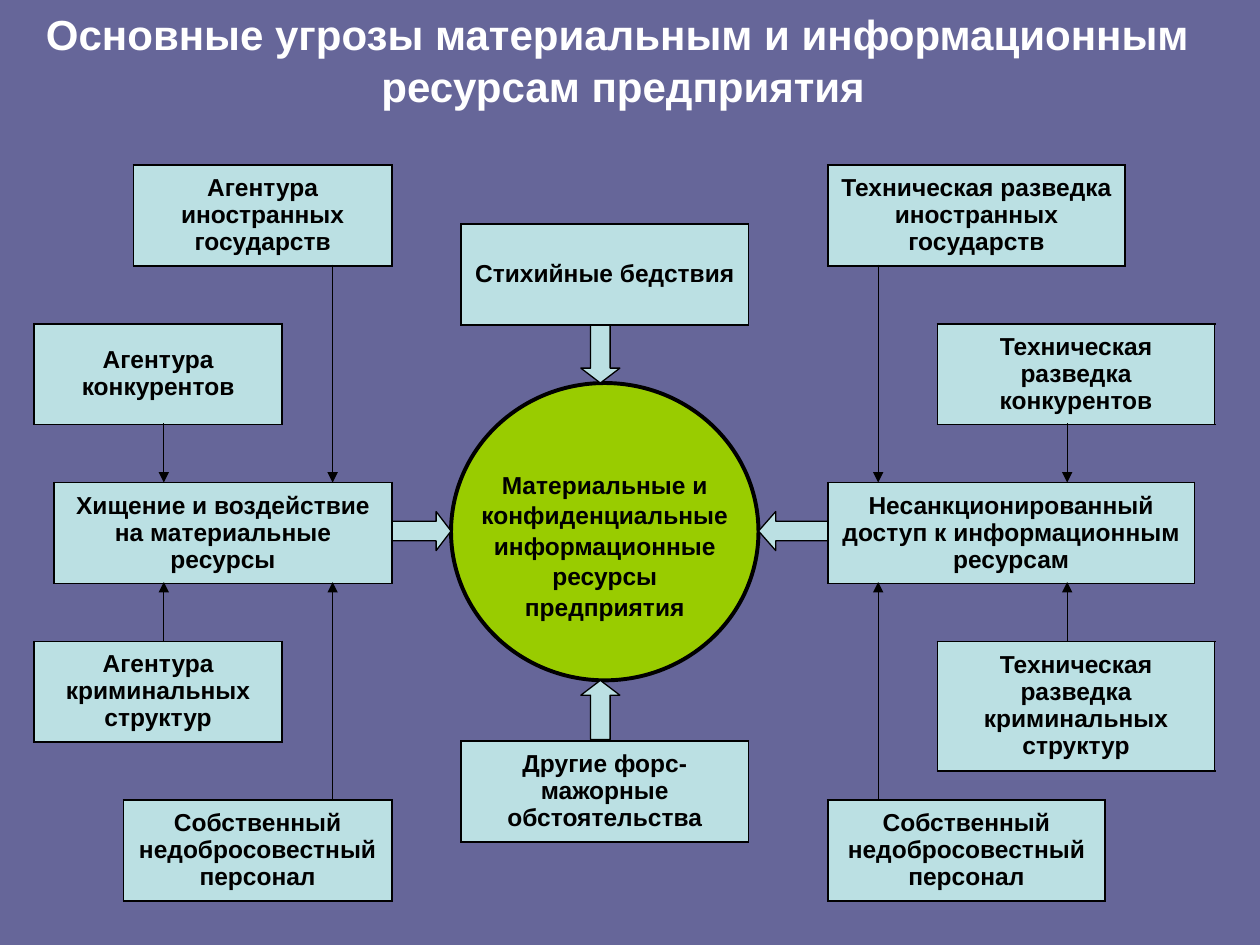
from dataclasses import dataclass

from lxml.etree import SubElement
from pptx import Presentation
from pptx.dml.color import RGBColor
from pptx.enum.shapes import MSO_CONNECTOR, MSO_SHAPE
from pptx.enum.text import MSO_ANCHOR, PP_ALIGN
from pptx.oxml import parse_xml
from pptx.oxml.ns import nsdecls, qn
from pptx.util import Inches, Pt


@dataclass(frozen=True)
class Theme:
    back: RGBColor = RGBColor(0x66, 0x66, 0x99)
    box: RGBColor = RGBColor(0xBB, 0xE0, 0xE3)
    core: RGBColor = RGBColor(0x99, 0xCC, 0x00)
    ink: RGBColor = RGBColor(0, 0, 0)
    white: RGBColor = RGBColor(255, 255, 255)
    font: str = "Arial"
    body: int = 14
    head: int = 24


theme = Theme()


def write(frame, text, size=theme.body, color=theme.ink, space=1.04):
    """Fill a frame with bold centred text, one paragraph per line."""
    frame.word_wrap = True
    frame.text = text
    for par in frame.paragraphs:
        par.alignment = PP_ALIGN.CENTER
        par.line_spacing = space
        font = par.runs[0].font
        font.name, font.size, font.bold = theme.font, Pt(size), True
        font.color.rgb = color


def add_box(text, left, top, width, height=0.8):
    """Add a one-cell table with a thin border."""
    table = slide.shapes.add_table(1, 1, Inches(left), Inches(top),
                                   Inches(width), Inches(height)).table
    table.first_row = table.horz_banding = False
    cell = table.cell(0, 0)
    props = cell._tc.get_or_add_tcPr()
    for side in ("lnL", "lnR", "lnT", "lnB"):
        props.append(parse_xml(
            f'<a:{side} {nsdecls("a")} w="{Pt(1.08)}"><a:solidFill>'
            f'<a:srgbClr val="{theme.ink}"/></a:solidFill></a:{side}>'))
    cell.fill.solid()
    cell.fill.fore_color.rgb = theme.box
    cell.vertical_anchor = MSO_ANCHOR.MIDDLE
    write(cell.text_frame, text, space=0.98)


deck = Presentation()
deck.slide_width, deck.slide_height = Inches(10), Inches(7.5)
slide = deck.slides.add_slide(deck.slide_layouts[6])
slide.background.fill.solid()
slide.background.fill.fore_color.rgb = theme.back

# Central circle and block arrows pointing at it
shapes = [
    (MSO_SHAPE.OVAL, 3.58, 3.04, 2.44, 2.36, None),
    (MSO_SHAPE.RIGHT_ARROW, 3.11, 4.06, 0.47, 0.31, 0.38),
    (MSO_SHAPE.LEFT_ARROW, 6.02, 4.06, 0.55, 0.31, 0.44),
    (MSO_SHAPE.UP_ARROW, 4.61, 5.4, 0.31, 0.47, 0.38),
    (MSO_SHAPE.DOWN_ARROW, 4.61, 2.57, 0.31, 0.47, 0.38),
]
for kind, left, top, width, height, tip in shapes:
    shape = slide.shapes.add_shape(kind, Inches(left), Inches(top),
                                   Inches(width), Inches(height))
    shape.shadow.inherit = False
    shape.fill.solid()
    shape.fill.fore_color.rgb = theme.box if tip else theme.core
    shape.line.color.rgb = theme.ink
    shape.line.width = Pt(0.75 if tip else 2.25)
    if tip:
        shape.adjustments[1] = tip

# Threat boxes: five evenly spaced rows at the sides, two in the middle
rows = [1.31 + 1.26 * i for i in range(5)]
boxes = [
    ("Агентура иностранных государств", 1.06, rows[0], 2.05),
    ("Агентура конкурентов", 0.27, rows[1], 1.97),
    ("Хищение и воздействие на материальные ресурсы", 0.43, rows[2], 2.68),
    ("Агентура криминальных структур", 0.27, rows[3], 1.97),
    ("Собственный недобросовестный персонал", 0.98, rows[4], 2.13),
    ("Стихийные бедствия", 3.66, 1.78, 2.28),
    ("Другие форс-мажорные обстоятельства", 3.66, 5.88, 2.28),
    ("Техническая разведка иностранных государств", 6.57, rows[0], 2.36),
    ("Техническая разведка конкурентов", 7.44, rows[1], 2.2),
    ("Несанкционированный доступ к информационным ресурсам",
     6.57, rows[2], 2.91),
    ("Техническая разведка криминальных структур",
     7.44, rows[3], 2.2, 1.03),
    ("Собственный недобросовестный персонал", 6.57, rows[4], 2.2),
]
for box in boxes:
    add_box(*box)

# Thin arrows from the outer boxes to the middle row
deep = 0.79
for x, near in ((1.3, 1), (2.64, 0), (6.97, 0), (8.47, 1)):
    ends = ((rows[near] + deep, rows[2]), (rows[4 - near], rows[2] + deep))
    for start, end in ends:
        line = slide.shapes.add_connector(
            MSO_CONNECTOR.STRAIGHT, Inches(x), Inches(start),
            Inches(x), Inches(end))
        line.line.color.rgb = theme.ink
        line.line.width = Pt(0.75)
        SubElement(line.line._get_or_add_ln(), qn("a:tailEnd"),
                   type="triangle")
        SubElement(line._element.spPr, qn("a:effectLst"))

# Title and circle caption
title = slide.shapes.add_textbox(0, 0, Inches(9.8), Inches(0.9))
write(title.text_frame, "Основные угрозы материальным и информационным\n"
      " ресурсам предприятия", size=theme.head, color=theme.white)
label = slide.shapes.add_textbox(Inches(3.66), Inches(3.67),
                                 Inches(2.28), Inches(1.27))
write(label.text_frame, "Материальные и конфиденциальные "
      "информационные ресурсы предприятия")

deck.save("out.pptx")
